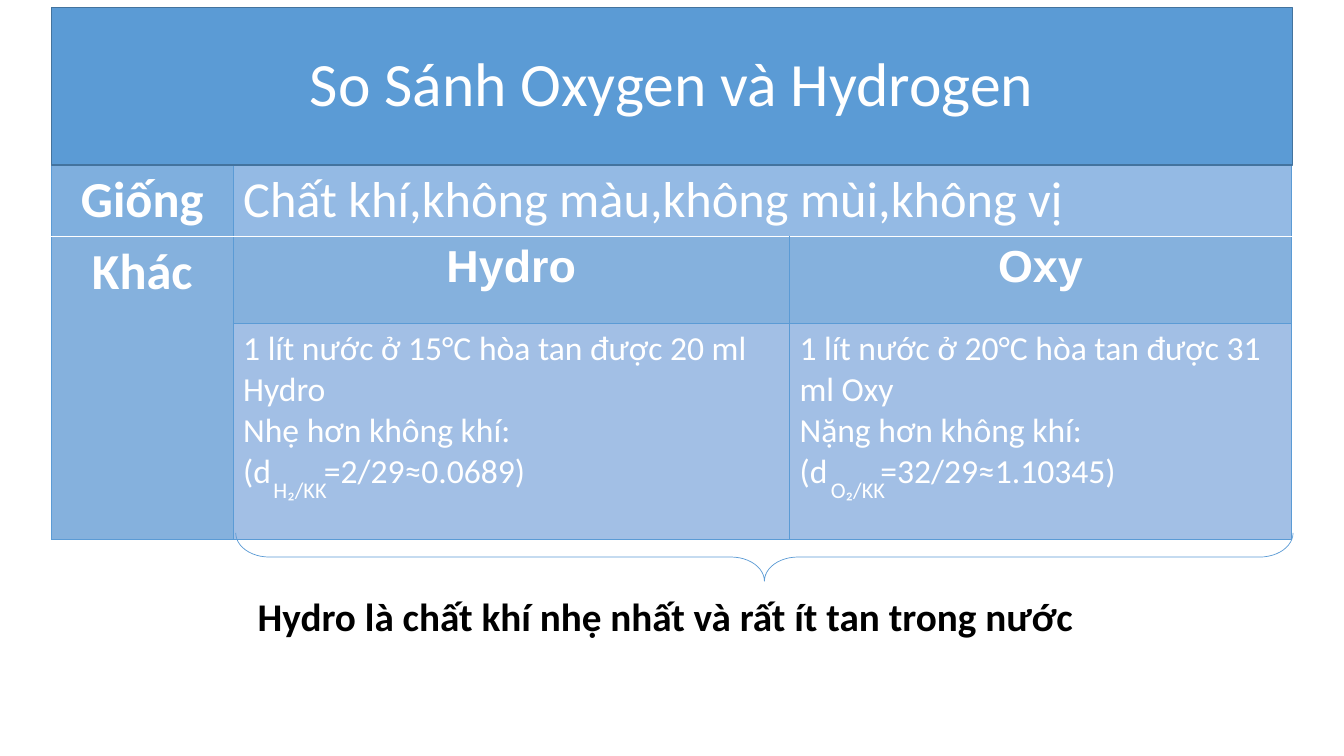
from lxml.etree import SubElement
from pptx import Presentation
from pptx.dml.color import RGBColor
from pptx.enum.shapes import MSO_SHAPE as SHAPE
from pptx.enum.text import MSO_ANCHOR as ANCHOR, PP_ALIGN as ALIGN
from pptx.oxml.ns import qn
from pptx.util import Pt

PX = 9525
BLUE, EDGE, WHITE, BLACK = "5B9BD5", "43739E", "FFFFFF", "000000"
SAME_HEAD, SAME_BODY, DIFF_HEAD, DIFF_BODY = "7FAFDE", "94BAE4", "85B1DD", "A2BFE5"
COLUMNS, ROWS = (173, 530, 478), (68, 83, 205)


def px(*lengths):
    """Turn pixel lengths into EMU."""
    return [length * PX for length in lengths]


def paint(color_format, color):
    """Give a fill or a font a solid colour."""
    if hasattr(color_format, "solid"):
        color_format.solid()
        color_format.fore_color.rgb = RGBColor.from_string(color)
    else:
        color_format.color.rgb = RGBColor.from_string(color)


def write(frame, lines, size, color=WHITE, bold=False, font="Calibri", align=ALIGN.LEFT):
    """Write each line as one paragraph and return the paragraphs."""
    frame.word_wrap = True
    for index, line in enumerate(lines):
        paragraph = frame.add_paragraph() if index else frame.paragraphs[0]
        paragraph.alignment = align
        run = paragraph.add_run()
        run.text = line
        run.font.size, run.font.bold, run.font.name = Pt(size), bold, font
        paint(run.font, color)
    return frame.paragraphs


def add_tab_stop(paragraph, position):
    """Put a left tab stop into a paragraph."""
    tabs = SubElement(paragraph._p.get_or_add_pPr(), qn("a:tabLst"))
    SubElement(tabs, qn("a:tab"), pos=str(position * PX), algn="l")


def add_border(cell, side, color, width):
    """Draw one side (L, R, T or B) of a table cell."""
    line = SubElement(cell._tc.get_or_add_tcPr(), qn(f"a:ln{side}"), w=str(Pt(width)))
    SubElement(SubElement(line, qn("a:solidFill")), qn("a:srgbClr"), val=color)


def add_text(slide, box, text, size, color=WHITE, bold=False):
    """Add a text box with one line of text."""
    shape = slide.shapes.add_textbox(*px(*box))
    write(shape.text_frame, [text], size, color, bold)


def add_outlined(slide, kind, box, color, width):
    """Add a preset shape that has an outline and no shadow."""
    shape = slide.shapes.add_shape(kind, *px(*box))
    shape.shadow.inherit = False
    paint(shape.line.fill, color)
    shape.line.width = Pt(width)
    return shape


def add_title(slide, text):
    """Add the title banner."""
    banner = add_outlined(slide, SHAPE.RECTANGLE, (49, 7, 1182, 150), EDGE, 1)
    paint(banner.fill, BLUE)
    banner.text_frame.vertical_anchor = ANCHOR.MIDDLE
    write(banner.text_frame, [text], 44, align=ALIGN.CENTER)[0].line_spacing = 0.9


def add_brace(slide):
    """Add the brace under the two gas columns."""
    brace = add_outlined(slide, SHAPE.RIGHT_BRACE, (705, 27, 46, 1007), BLUE, 0.5)
    brace.fill.background()
    brace.rotation = 90
    brace.adjustments[0], brace.adjustments[1] = 0.692, 0.5


def add_comparison(slide):
    """Add the table of likenesses and differences."""
    frame = slide.shapes.add_table(3, 3, *px(49, 157, sum(COLUMNS), sum(ROWS)))
    table = frame.table
    for column, width in zip(table.columns, COLUMNS):
        column.width = width * PX
    for row, height in zip(table.rows, ROWS):
        row.height = height * PX
    fills = ((SAME_HEAD, SAME_BODY, SAME_BODY),
             (DIFF_HEAD, DIFF_HEAD, DIFF_HEAD),
             (DIFF_HEAD, DIFF_BODY, DIFF_BODY))
    for r, row_fills in enumerate(fills):
        for c, fill in enumerate(row_fills):
            cell = table.cell(r, c)
            for side in "LRTB":
                divider = (r, side) in ((0, "B"), (1, "T"))
                add_border(cell, side, WHITE if divider else BLUE, 1 if divider else 0.5)
            paint(cell.fill, fill)
    table.cell(0, 1).merge(table.cell(0, 2))
    table.cell(1, 0).merge(table.cell(2, 0))

    for r, label in enumerate(("Giống", "Khác")):
        write(table.cell(r, 0).text_frame, [label], 36, bold=True, align=ALIGN.CENTER)
    write(table.cell(0, 1).text_frame, ["Chất khí,không màu,không mùi,không vị"], 36)
    gases = (
        ("Hydro", "1 lít nước ở 15°C hòa tan được 20 ml Hydro",
         "Nhẹ hơn không khí:", "(d\t=2/29≈0.0689)"),
        ("Oxy", "1 lít nước ở 20°C hòa tan được 31 ml Oxy",
         "Nặng hơn không khí:", "(d\t=32/29≈1.10345)"),
    )
    for c, (name, *facts) in enumerate(gases, 1):
        write(table.cell(1, c).text_frame, [name], 32, bold=True, font="Arial", align=ALIGN.CENTER)
        add_tab_stop(write(table.cell(2, c).text_frame, facts, 24)[-1], 77)


def main():
    """Build the slide and save it."""
    presentation = Presentation()
    presentation.slide_width, presentation.slide_height = px(1280, 720)
    slide = presentation.slides.add_slide(presentation.slide_layouts[6])
    add_comparison(slide)
    add_title(slide, "So Sánh Oxygen và Hydrogen")
    for left, ratio in ((782, "O₂/KK"), (251, "H₂/KK")):
        add_text(slide, (left, 449, 93, 36), ratio, 16)
    add_brace(slide)
    add_text(slide, (236, 559, 941, 55),
             "Hydro là chất khí nhẹ nhất và rất ít tan trong nước", 28, BLACK, True)
    presentation.save("out.pptx")


if __name__ == "__main__":
    main()
